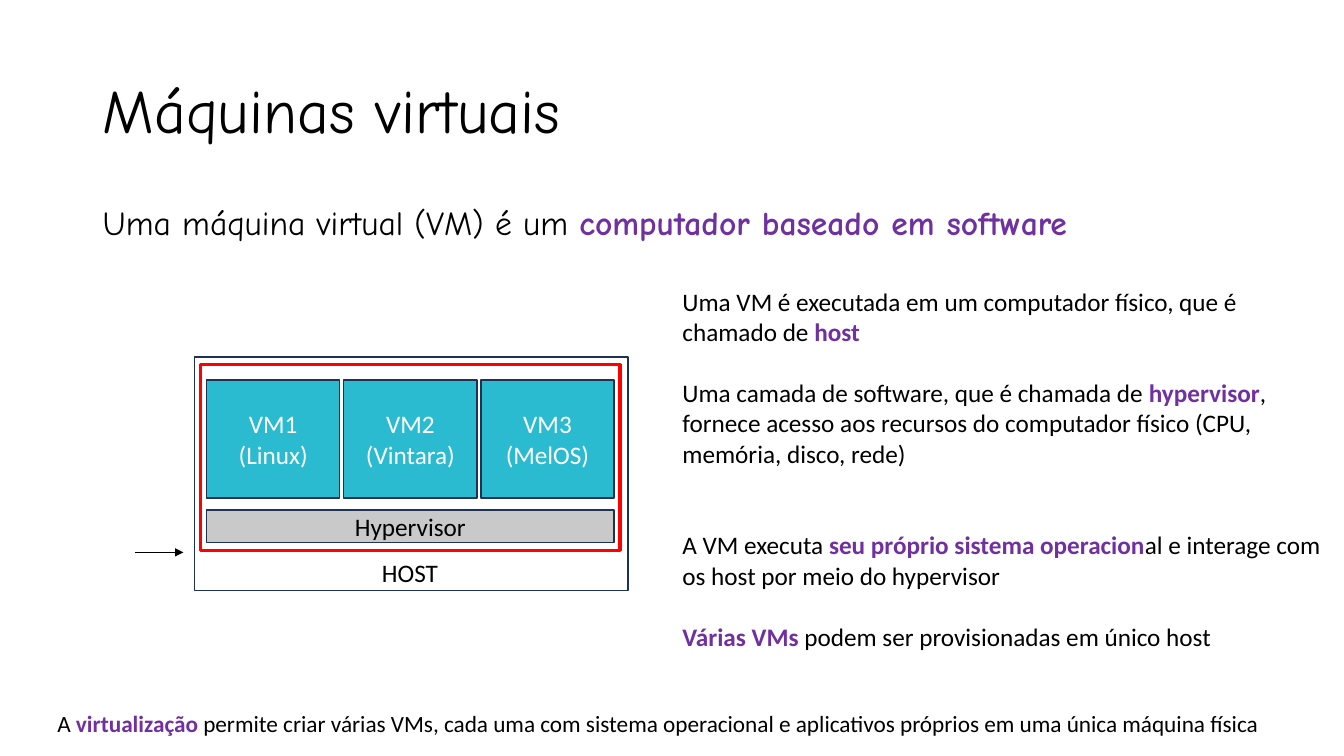
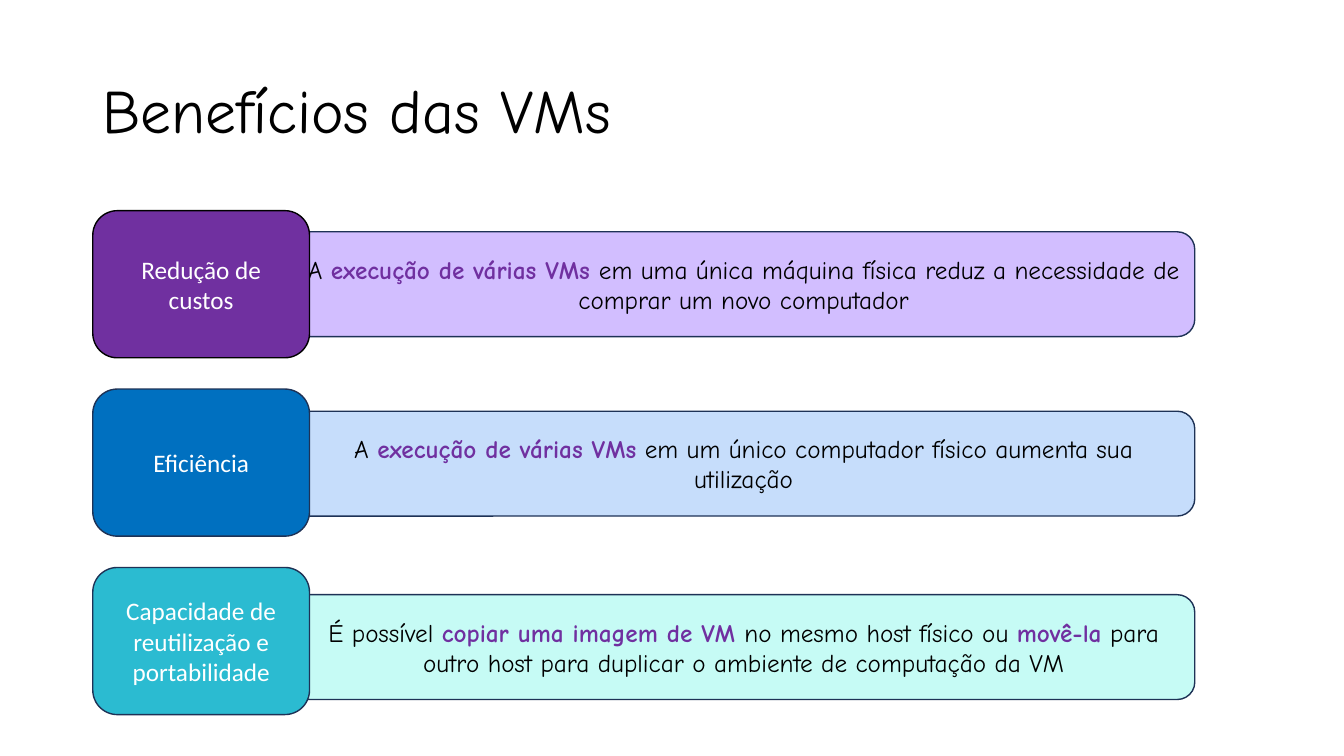
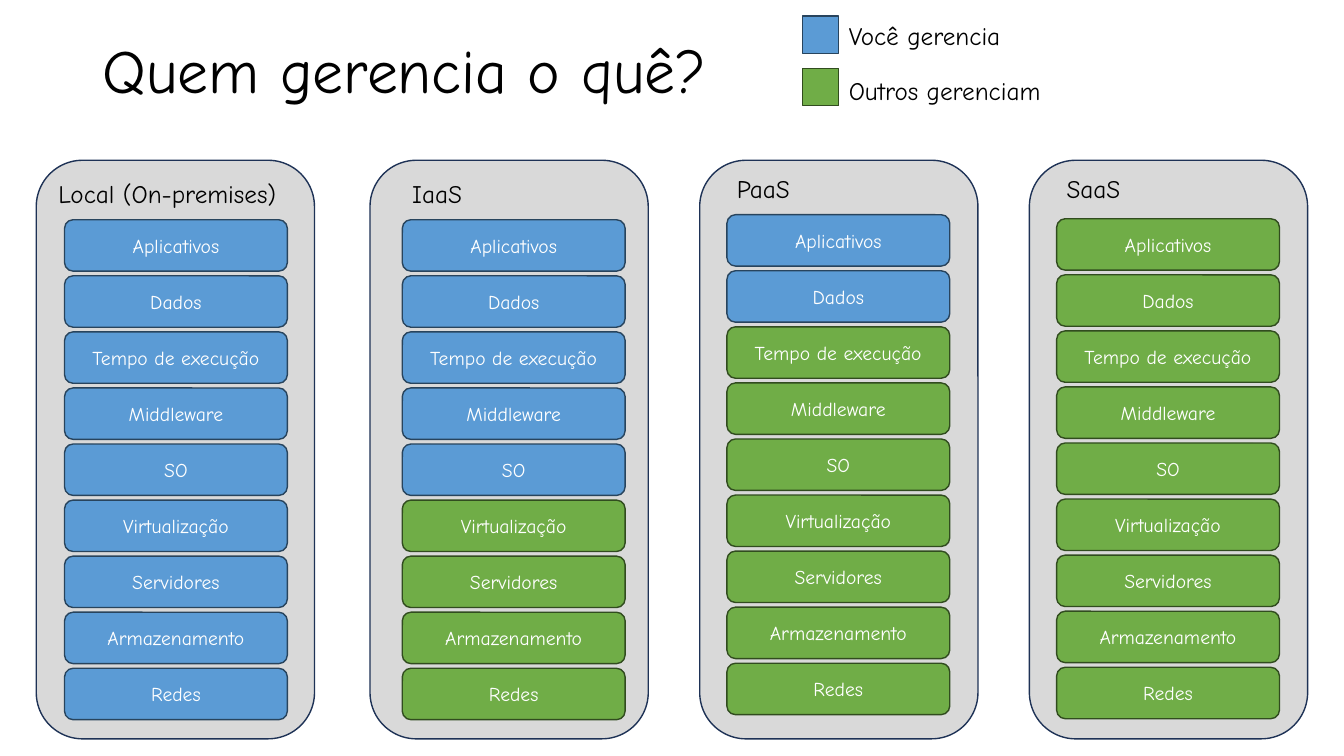
"""Build three slides on virtual machines and who manages each cloud layer."""
from dataclasses import dataclass
from lxml.etree import SubElement
from pptx import Presentation
from pptx.dml.color import RGBColor
from pptx.enum.shapes import MSO_CONNECTOR, MSO_SHAPE
from pptx.enum.text import MSO_ANCHOR, PP_ALIGN
from pptx.oxml.ns import qn
from pptx.util import Inches, Pt


@dataclass(frozen=True)
class Theme:
    black: str = "000000"
    white: str = "FFFFFF"
    navy: str = "1E3256"
    purple: str = "7030A0"
    blue: str = "0070C0"
    teal: str = "2BBBD1"
    lilac: str = "D2BEFF"
    sky: str = "C6DDFB"
    mint: str = "C6FBF5"
    red: str = "FF0000"
    grey: str = "C9C9C9"
    pale: str = "D9D9D9"
    yours: tuple = ("5B9BD5", "28445D")
    others: tuple = ("70AD47", "314C1F")
    plain: str = "Calibri"
    comic: str = "Comic Neue"
    head: float = 44
    lead: float = 24
    base: float = 18
    foot: float = 16.6
    small: float = 14


look = Theme()


def box(shapes, at, kind=None, fill=None, line=look.navy, weight=1):
    """Add a preset shape, or a text box when no kind is given."""
    spot = [Inches(n) for n in at]
    if kind is None:
        return shapes.add_textbox(*spot)
    shape = shapes.add_shape(kind, *spot)
    shape.shadow.inherit = False
    if fill:
        shape.fill.solid()
        shape.fill.fore_color.rgb = RGBColor.from_string(fill)
    else:
        shape.fill.background()
    shape.line.color.rgb = RGBColor.from_string(line)
    shape.line.width = Pt(weight)
    return shape


def write(shape, text, size=look.base, font=look.plain, color=look.black,
          align=PP_ALIGN.LEFT, anchor=MSO_ANCHOR.TOP, leading=None, gaps=(), wrap=True):
    """Fill a shape with text; parts between asterisks are bold purple."""
    frame = shape.text_frame
    frame.word_wrap = wrap
    frame.vertical_anchor = anchor
    for row, words in enumerate(text.split("\n")):
        para = frame.add_paragraph() if row else frame.paragraphs[0]
        para.alignment = align
        if leading:
            para.line_spacing = leading
        if row and gaps:
            para.space_before = Pt(gaps[row - 1])
        for turn, part in enumerate(words.split("*")):
            if part:
                run = para.add_run()
                run.text = part
                run.font.size = Pt(size)
                run.font.name = font
                run.font.bold = turn % 2 == 1
                tint = look.purple if turn % 2 else color
                run.font.color.rgb = RGBColor.from_string(tint)


mid = {"align": PP_ALIGN.CENTER, "anchor": MSO_ANCHOR.MIDDLE}
deck = Presentation()
deck.slide_width = Inches(13.33)
deck.slide_height = Inches(7.5)
pages = []
for title, top in [("Máquinas virtuais", 0.4), ("Benefícios das VMs", 0.4), ("Quem gerencia o quê?", 0)]:
    page = deck.slides.add_slide(deck.slide_layouts[6]).shapes
    write(box(page, (0.92, top, 11.5, 1.45)), title, size=look.head, font=look.comic,
          anchor=MSO_ANCHOR.MIDDLE, leading=0.9)
    pages.append(page)
first, second, third = pages

write(box(first, (0.92, 2, 11.5, 0.52)), "Uma máquina virtual (VM) é um *computador baseado em software*",
      size=look.lead, font=look.comic, leading=0.9)
write(box(first, (6.67, 2.79, 6.58, 3.74)),
      "Uma VM é executada em um computador físico, que é chamado de *host*\n"
      "Uma camada de software, que é chamada de *hypervisor*, fornece acesso aos recursos "
      "do computador físico (CPU, memória, disco, rede)\n"
      "A VM executa *seu próprio sistema operacion*al e interage com os host por meio do hypervisor\n"
      "*Várias VMs *podem ser provisionadas em único host", gaps=(22, 44, 22))
host = first.add_group_shape().shapes
box(host, (1.93, 3.54, 4.3, 2.32), MSO_SHAPE.RECTANGLE)
for col, system in enumerate(["Linux", "Vintara", "MelOS"]):
    guest = box(host, (2.05 + 1.36 * col, 3.77, 1.32, 1.17), MSO_SHAPE.RECTANGLE, look.teal)
    write(guest, f"VM{col + 1}\n({system})", color=look.white, **mid)
box(host, (1.99, 3.62, 4.16, 1.84), MSO_SHAPE.RECTANGLE, line=look.red, weight=2.25)
write(box(host, (2.05, 5.06, 4.04, 0.32), MSO_SHAPE.RECTANGLE, look.grey), "Hypervisor", **mid)
write(box(host, (3.69, 5.48, 0.76, 0.4)), "HOST", wrap=False)
write(box(first, (0.47, 7.02, 12.63, 0.45)),
      "A *virtualização* permite criar várias VMs, cada uma com sistema operacional "
      "e aplicativos próprios em uma única máquina física", size=look.foot, leading=0.9)
arrow = first.add_connector(MSO_CONNECTOR.STRAIGHT, Inches(1.34), Inches(5.48), Inches(1.82), Inches(5.48))
arrow.line.color.rgb = RGBColor.from_string(look.black)
arrow.line.width = Pt(0.5)
props = arrow.element.spPr
SubElement(props.find(qn("a:ln")), qn("a:tailEnd"), type="triangle")
SubElement(props, qn("a:effectLst"))

gains = [
    ("Redução de custos", look.purple, look.black, 2.3, look.lilac,
     "A *execução de várias VMs *em uma única máquina física reduz a necessidade de comprar um novo computador"),
    ("Eficiência", look.blue, look.navy, 4.08, look.sky,
     "A *execução de várias VMs* em um único computador físico aumenta sua utilização"),
    ("Capacidade de reutilização e portabilidade", look.teal, look.navy, 5.9, look.mint,
     "É possível *copiar uma imagem de VM *no mesmo host físico ou *movê-la* para outro host "
     "para duplicar o ambiente de computação da VM"),
]
for row, (name, dark, edge, top, light, text) in enumerate(gains):
    bar = box(second, (2.9, top, 8.95, 1.04), MSO_SHAPE.FLOWCHART_ALTERNATE_PROCESS, light)
    write(bar, text, font=look.comic, **mid)
    card = box(second, (0.92, 2.09 + 1.77 * row, 2.15, 1.46), MSO_SHAPE.ROUNDED_RECTANGLE, dark, edge)
    write(card, name, color=look.white, **mid)

layers = ["Aplicativos", "Dados", "Tempo de execução", "Middleware", "SO",
          "Virtualização", "Servidores", "Armazenamento", "Redes"]
pitch = 4.45 / (len(layers) - 1)
models = [
    ("Local (On-premises)", 0.36, 0.64, 2.18, (0.48, 1.72, 2.53, 0.4), 9),
    ("IaaS", 3.67, 3.99, 2.18, (3.99, 1.72, 2.21, 0.4), 5),
    ("PaaS", 6.94, 7.21, 2.13, (7.21, 1.67, 2.21, 0.4), 2),
    ("SaaS", 10.21, 10.48, 2.17, (10.48, 1.67, 2.21, 0.4), 0),
]
for name, edge, left, top, spot, own in models:
    box(third, (edge, 1.59, 2.76, 5.74), MSO_SHAPE.ROUNDED_RECTANGLE, look.pale)
    write(box(third, spot), name, font=look.comic)
    for row, layer in enumerate(layers):
        block = box(third, (left, top + pitch * row, 2.21, 0.51), MSO_SHAPE.FLOWCHART_ALTERNATE_PROCESS,
                    *(look.yours if row < own else look.others))
        write(block, layer, size=look.small, font=look.comic, color=look.white, **mid)
for label, tones, top, high in [("Você gerencia", look.yours, 0.16, 0.15),
                                ("Outros gerenciam", look.others, 0.68, 0.7)]:
    box(third, (7.96, top, 0.36, 0.37), MSO_SHAPE.RECTANGLE, *tones)
    write(box(third, (8.32, high, 4.5, 0.4)), label, font=look.comic)

deck.save("out.pptx")
